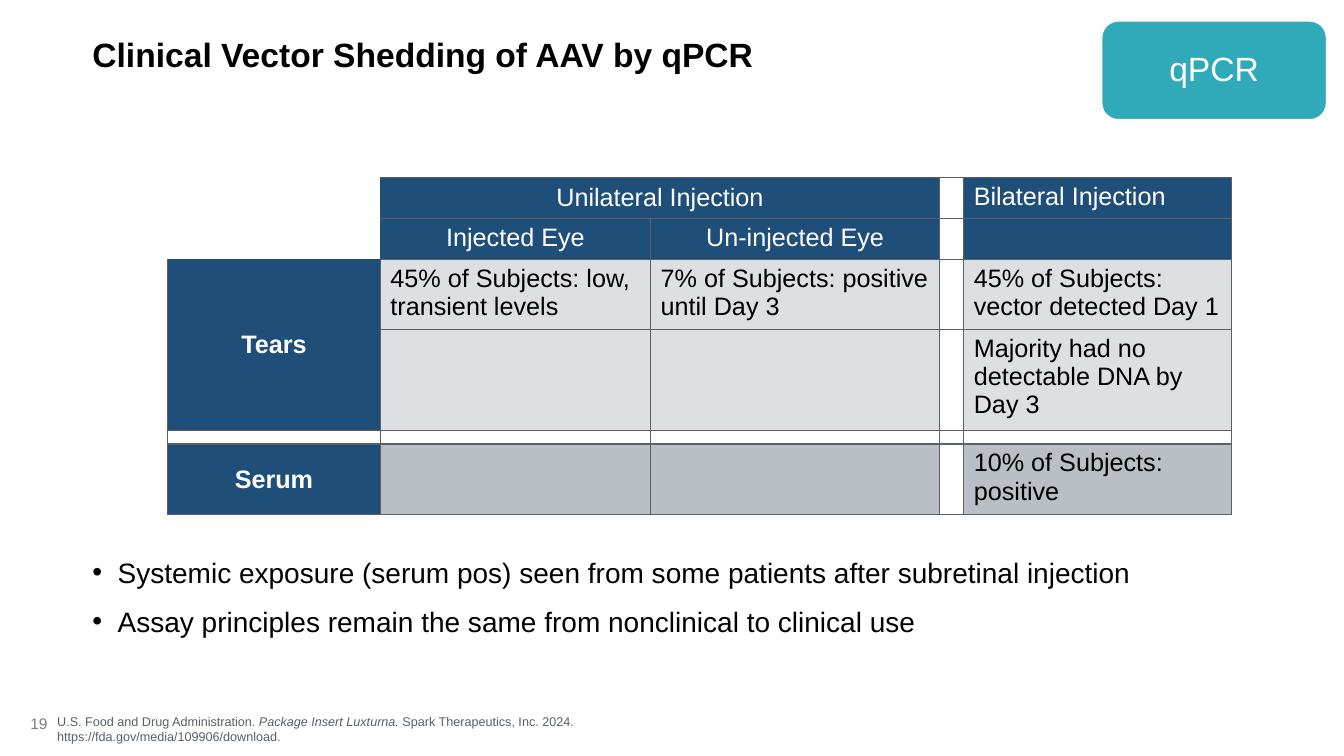
"""Build the slide on clinical vector shedding of AAV by qPCR."""
from lxml.etree import SubElement
from pptx import Presentation
from pptx.dml.color import RGBColor
from pptx.enum.shapes import MSO_SHAPE
from pptx.enum.text import MSO_ANCHOR, MSO_AUTO_SIZE, PP_ALIGN
from pptx.oxml.ns import qn
from pptx.util import Pt

NAVY, WHITE, BLACK, SLATE = "1F4E79", "FFFFFF", "000000", "586069"
LIGHT, MEDIUM = "DDDFE2", "BABFC5"


def color(value):
    return RGBColor.from_string(value)


def write(paragraph, text, size=18, fill=BLACK, bold=False, italic=False, align=PP_ALIGN.LEFT):
    paragraph.alignment = align
    run = paragraph.add_run()
    run.text = text
    run.font.name = "Arial"
    run.font.size = Pt(size)
    run.font.bold = bold
    run.font.italic = italic
    run.font.color.rgb = color(fill)


presentation = Presentation()
presentation.slide_width = Pt(960)
presentation.slide_height = Pt(540)
slide = presentation.slides.add_slide(presentation.slide_layouts[1])

title, body = slide.placeholders
title.left, title.top, title.width, title.height = Pt(66), Pt(12), Pt(868), Pt(53)
body.left, body.top, body.width, body.height = Pt(66), Pt(393), Pt(868), Pt(76)
for placeholder, anchor in ((title, MSO_ANCHOR.MIDDLE), (body, MSO_ANCHOR.TOP)):
    frame = placeholder.text_frame
    frame.margin_left = frame.margin_right = 0
    frame.vertical_anchor = anchor
    frame.auto_size = MSO_AUTO_SIZE.NONE

write(title.text_frame.paragraphs[0], "Clinical Vector Shedding of AAV by qPCR", size=24, bold=True)

bullets = [
    "Systemic exposure (serum pos) seen from some patients after subretinal injection",
    "Assay principles remain the same from nonclinical to clinical use",
]
for index, bullet in enumerate(bullets):
    paragraph = body.text_frame.add_paragraph() if index else body.text_frame.paragraphs[0]
    properties = paragraph._p.get_or_add_pPr()
    properties.set("marL", str(Pt(18)))
    properties.set("indent", str(Pt(-18)))
    SubElement(properties, qn("a:buChar"), char="•")
    paragraph.space_before = Pt(11 if index else 0)
    write(paragraph, bullet, size=20)

badge = slide.shapes.add_shape(MSO_SHAPE.ROUNDED_RECTANGLE, Pt(787), Pt(15), Pt(160.5), Pt(70.5))
badge.shadow.inherit = False
badge.fill.solid()
badge.fill.fore_color.rgb = color("30AAB9")
badge.line.color.rgb = color(WHITE)
badge.line.width = Pt(1)
badge.text_frame.vertical_anchor = MSO_ANCHOR.MIDDLE
badge.text_frame.paragraphs[0].line_spacing = 0.9
write(badge.text_frame.paragraphs[0], "qPCR", size=24, fill=WHITE, align=PP_ALIGN.CENTER)

column_widths = [152, 193, 206.5, 17, 191.5]
row_heights = [29.2, 29.2, 50.3, 72.2, 9.6, 50.3]
texts = [
    ["", "Unilateral Injection", "", "", "Bilateral Injection"],
    ["", "Injected Eye", "Un-injected Eye", "", ""],
    ["Tears", "45% of Subjects: low, transient levels", "7% of Subjects: positive until Day 3",
     "", "45% of Subjects: vector detected Day 1"],
    ["", "", "", "", "Majority had no detectable DNA by Day 3"],
    ["", "", "", "", ""],
    ["Serum", "", "", "", "10% of Subjects: positive"],
]
header_fills = [WHITE, NAVY, NAVY, WHITE, NAVY]
tears_fills = [NAVY, LIGHT, LIGHT, WHITE, LIGHT]
serum_fills = [NAVY, MEDIUM, MEDIUM, WHITE, MEDIUM]
fills = [header_fills, header_fills, tears_fills, tears_fills, [WHITE] * 5, serum_fills]

table = slide.shapes.add_table(
    6, 5, Pt(119.7), Pt(126.7), Pt(sum(column_widths)), Pt(sum(row_heights))).table
table.first_row = False
table.horz_banding = False
for column, width in zip(table.columns, column_widths):
    column.width = Pt(width)
for row, height in zip(table.rows, row_heights):
    row.height = Pt(height)
table.cell(0, 1).merge(table.cell(0, 2))
table.cell(2, 0).merge(table.cell(3, 0))

for row, row_texts in enumerate(texts):
    for column, text in enumerate(row_texts):
        cell = table.cell(row, column)
        hidden = ""
        if row < 2 and column < 2:
            hidden = "L" if column else "LRTB"
        elif row == 2 and column == 0:
            hidden = "T"
        for side in "LRTB":
            border = SubElement(cell._tc.get_or_add_tcPr(), qn(f"a:ln{side}"), w=str(Pt(1)))
            if side in hidden:
                SubElement(border, qn("a:noFill"))
            else:
                SubElement(SubElement(border, qn("a:solidFill")), qn("a:srgbClr"), val=SLATE)
        cell.fill.solid()
        cell.fill.fore_color.rgb = color(fills[row][column])
        paragraph = cell.text_frame.paragraphs[0]
        if text:
            label = column == 0
            centered = label or (row < 2 and column < 3)
            if label or row == 0 and column == 1:
                cell.vertical_anchor = MSO_ANCHOR.MIDDLE
            write(paragraph, text, bold=label, fill=WHITE if label or row < 2 else BLACK,
                  align=PP_ALIGN.CENTER if centered else PP_ALIGN.LEFT)
        else:
            cell.margin_top = cell.margin_bottom = 0
            SubElement(paragraph._p, qn("a:endParaRPr"), sz="400")

number = slide.shapes.add_textbox(Pt(5), Pt(500.4), Pt(36), Pt(32.4)).text_frame
number.word_wrap = True
number.vertical_anchor = MSO_ANCHOR.MIDDLE
write(number.paragraphs[0], "19", size=11, fill="808080", align=PP_ALIGN.RIGHT)

citation = slide.shapes.add_textbox(Pt(33.8), Pt(506.2), Pt(454.3), Pt(28.8)).text_frame
citation.word_wrap = True
for text, italic in (
    ("U.S. Food and Drug Administration. ", False),
    ("Package Insert Luxturna.", True),
    (" Spark Therapeutics, Inc. 2024. https://fda.gov/media/109906/download.", False),
):
    write(citation.paragraphs[0], text, size=9, fill=SLATE, italic=italic)

presentation.save("out.pptx")
